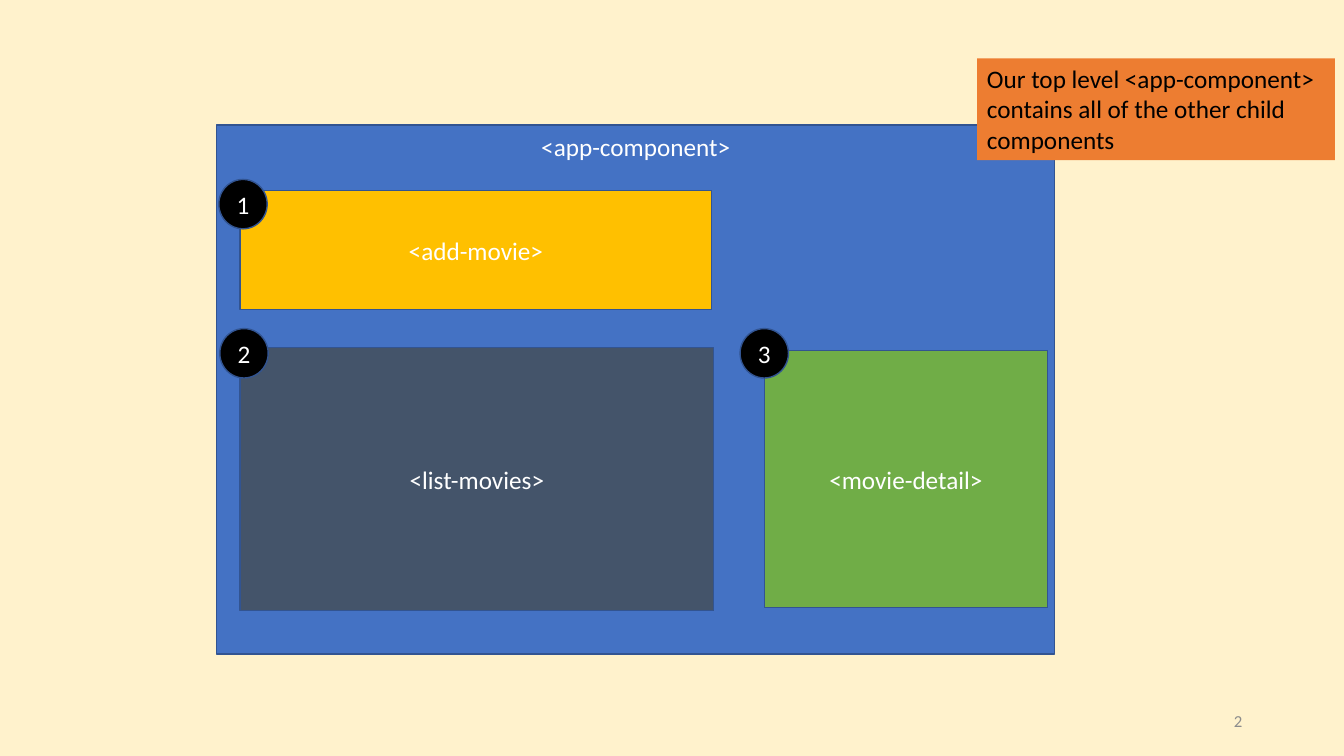
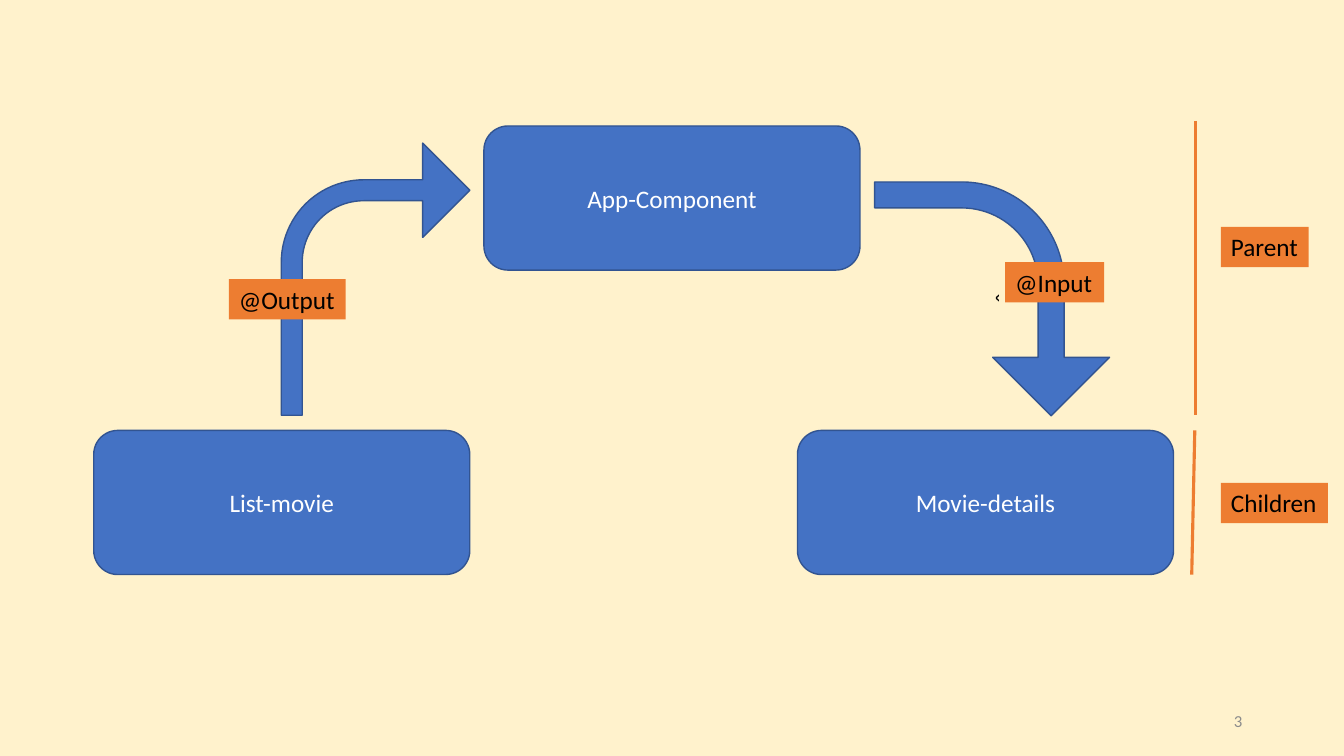
from pptx import Presentation
from pptx.dml.color import RGBColor
from pptx.enum.shapes import MSO_CONNECTOR, MSO_SHAPE
from pptx.enum.text import MSO_ANCHOR, MSO_AUTO_SIZE, PP_ALIGN
from pptx.oxml.ns import qn
from pptx.util import Inches, Pt

RECTANGLE, ELLIPSE = MSO_SHAPE.RECTANGLE, MSO_SHAPE.OVAL
ROUNDED, BENT_ARROW = MSO_SHAPE.ROUNDED_RECTANGLE, MSO_SHAPE.BENT_ARROW
TOP, MIDDLE = MSO_ANCHOR.TOP, MSO_ANCHOR.MIDDLE
LEFT, CENTER, RIGHT = PP_ALIGN.LEFT, PP_ALIGN.CENTER, PP_ALIGN.RIGHT
FIT_TEXT = MSO_AUTO_SIZE.SHAPE_TO_FIT_TEXT
STRAIGHT = MSO_CONNECTOR.STRAIGHT

FONT = "Calibri"
CREAM, BLUE, OUTLINE, ORANGE = "FFF2CC", "4472C4", "325491", "ED7D31"
SLATE, GOLD, GREEN = "44546A", "FFC000", "70AD47"
BLACK, WHITE, GRAY = "000000", "FFFFFF", "8C8C8C"

BADGE_SIZE = (0.48, 0.49)
NODE_SIZE = (3.73, 1.43)
LABEL_HEIGHT = 0.4
ARROW_ADJUSTMENTS = (0.111, 0.25, 0.25, 0.438)


def rgb(color):
    return RGBColor.from_string(color)


def box_inches(box):
    return [Inches(value) for value in box]


def paint(shape, color):
    shape.fill.solid()
    shape.fill.fore_color.rgb = rgb(color)


def write(shape, text, color, align=CENTER, size=18, **frame_format):
    frame = shape.text_frame
    for name, value in {"word_wrap": True, "vertical_anchor": MIDDLE, **frame_format}.items():
        setattr(frame, name, value)
    paragraph = frame.paragraphs[0]
    paragraph.alignment = align
    run = paragraph.add_run()
    run.text = text
    for name, value in {"name": FONT, "size": Pt(size)}.items():
        setattr(run.font, name, value)
    run.font.color.rgb = rgb(color)


def add_block(slide, kind, box, fill, text="", color=WHITE, **frame_format):
    """Add an outlined shape with centred text."""
    shape = slide.shapes.add_shape(kind, *box_inches(box))
    shape.shadow.inherit = False
    paint(shape, fill)
    shape.line.color.rgb = rgb(OUTLINE)
    shape.line.width = Pt(1)
    if text:
        write(shape, text, color, **frame_format)
    return shape


def add_label(slide, text, box, wrap=False):
    """Add an orange text box that fits its text."""
    label = slide.shapes.add_textbox(*box_inches(box))
    paint(label, ORANGE)
    write(label, text, BLACK, LEFT, word_wrap=wrap, vertical_anchor=TOP, auto_size=FIT_TEXT)


def add_divider(slide, start, end):
    line = slide.shapes.add_connector(STRAIGHT, *box_inches(start + end))
    line.line.color.rgb = rgb(ORANGE)
    line.line.width = Pt(2.25)
    properties = line._element.spPr
    properties.append(properties.makeelement(qn("a:effectLst"), {}))


def add_bent_arrow(slide, box, rotation=0, text=""):
    arrow = add_block(slide, BENT_ARROW, box, BLUE, text, BLACK)
    arrow.rotation = rotation
    for index, value in enumerate(ARROW_ADJUSTMENTS):
        arrow.adjustments[index] = value


def new_slide(presentation, number):
    slide = presentation.slides.add_slide(presentation.slide_layouts[6])
    number_box = slide.shapes.add_textbox(*box_inches((9.42, 6.95, 3, 0.4)))
    write(number_box, str(number), GRAY, RIGHT, size=12)
    return slide


def app_panel(slide, left, top, width, height):
    """Draw the app component with its numbered children."""
    add_block(slide, RECTANGLE, (left, top, width, height), BLUE, "<app-component>",
              vertical_anchor=TOP, margin_top=Inches(0.06))
    children = (
        ("<add-movie>", GOLD, (0.23, 0.65, 4.68, 1.18), (0.02, 0.54)),
        ("<list-movies>", SLATE, (0.23, 2.21, 4.7, 2.61), (0.03, 2.02)),
        ("<movie-detail>", GREEN, (5.43, 2.24, 2.81, 2.55), (5.19, 2.02)),
    )
    for number, (text, fill, (x, y, *size), (badge_x, badge_y)) in enumerate(children, 1):
        add_block(slide, RECTANGLE, (left + x, top + y, *size), fill, text)
        add_block(slide, ELLIPSE, (left + badge_x, top + badge_y, *BADGE_SIZE),
                  BLACK, str(number))


def data_flow(slide, left, top):
    """Draw the parent above its two children, with arrows between them."""
    nodes = (("App-Component", 3.87, 0), ("List-movie", 0, 3.02), ("Movie-details", 6.98, 3.02))
    for text, x, y in nodes:
        add_block(slide, ROUNDED, (left + x, top + y, *NODE_SIZE), BLUE, text)
    add_bent_arrow(slide, (left + 1.86, top + 0.17, 1.87, 2.7))
    add_bent_arrow(slide, (left + 7.75, top + 0.55, 2.32, 2.33), 90, "ˇ")
    for text, x, y, width in (("@Output", 1.34, 1.52, 1.16), ("@Input", 9.04, 1.35, 0.98)):
        add_label(slide, text, (left + x, top + y, width, LABEL_HEIGHT))


def level_key(slide, left, top):
    """Mark the parent and child levels beside the flow."""
    levels = (
        ("Parent", 0.87, 1.05, (0.04, 0), (0.04, 2.92)),
        ("Children", 1.06, 3.59, (0.03, 3.07), (0, 4.5)),
    )
    for text, width, y, start, end in levels:
        add_divider(slide, *((left + point_x, top + point_y) for point_x, point_y in (start, end)))
        add_label(slide, text, (left + 0.29, top + y, width, LABEL_HEIGHT))


def main():
    presentation = Presentation()
    presentation.slide_width, presentation.slide_height = Inches(13.33), Inches(7.5)
    paint(presentation.slide_master.background, CREAM)

    components = new_slide(presentation, 2)
    app_panel(components, 2.15, 1.24, 8.31, 5.25)
    add_label(components,
              "Our top level <app-component> contains all of the other child components",
              (9.69, 0.58, 3.55, 1.01), wrap=True)

    communication = new_slide(presentation, 3)
    data_flow(communication, 0.93, 1.25)
    level_key(communication, 11.82, 1.2)

    presentation.save("out.pptx")


if __name__ == "__main__":
    main()
